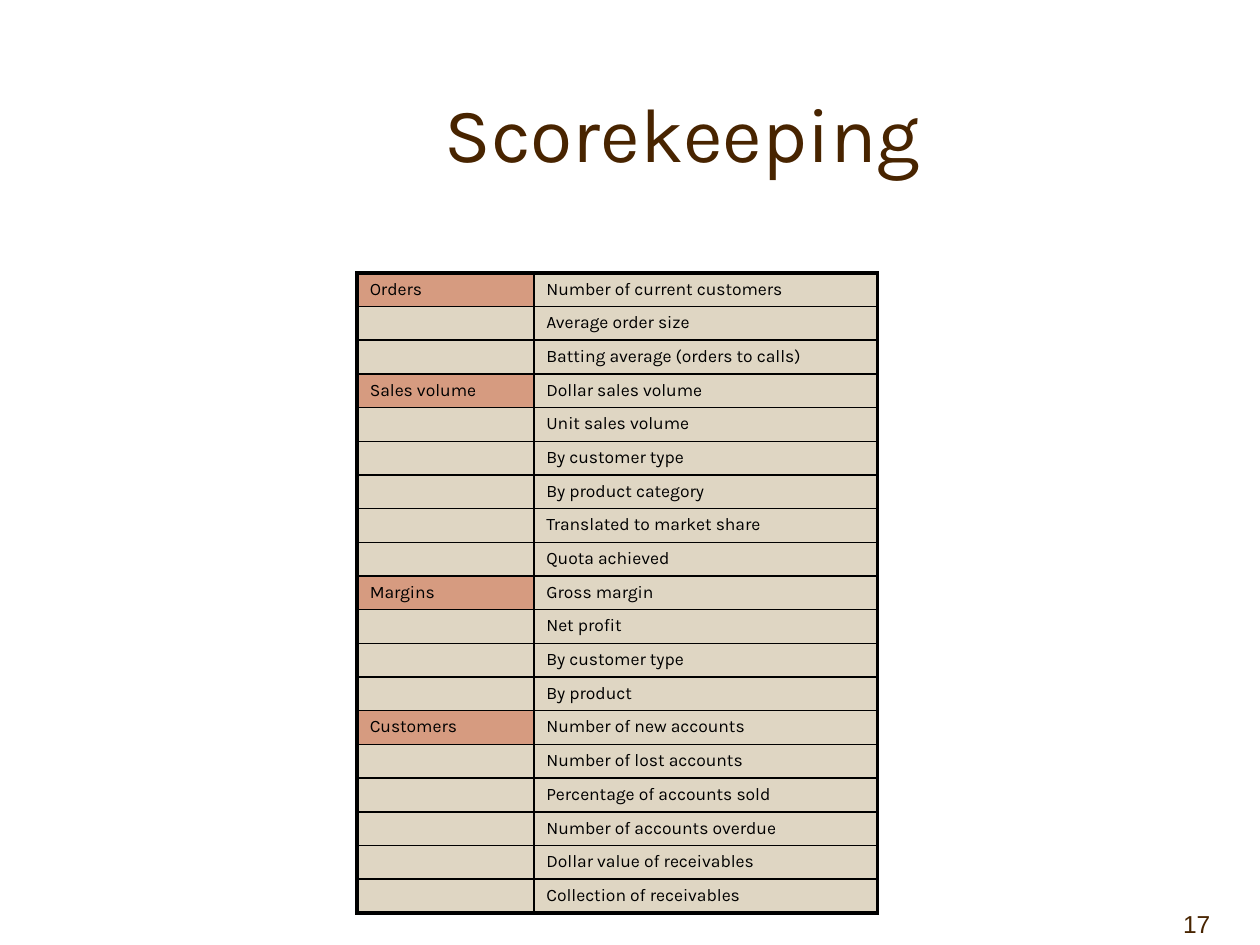
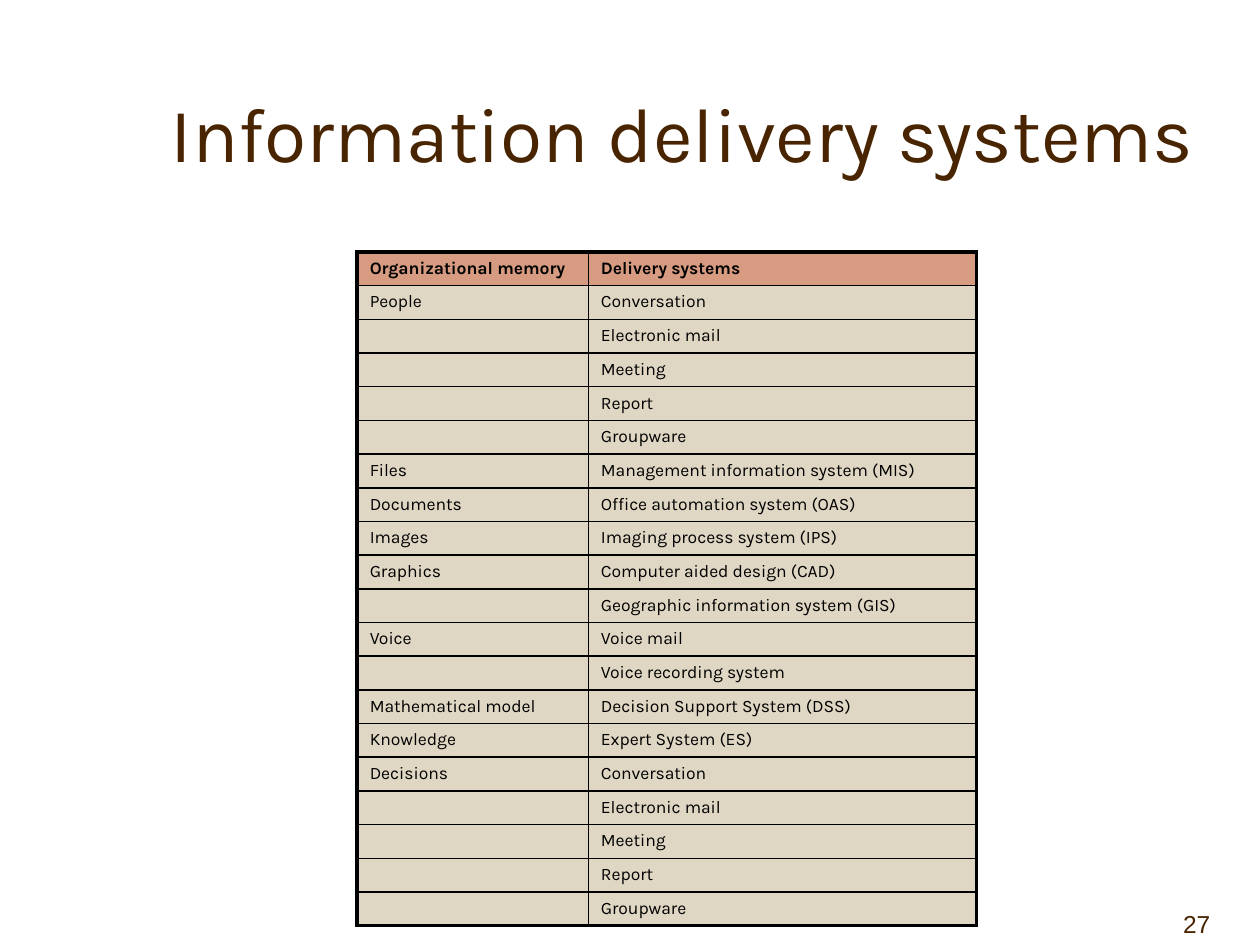
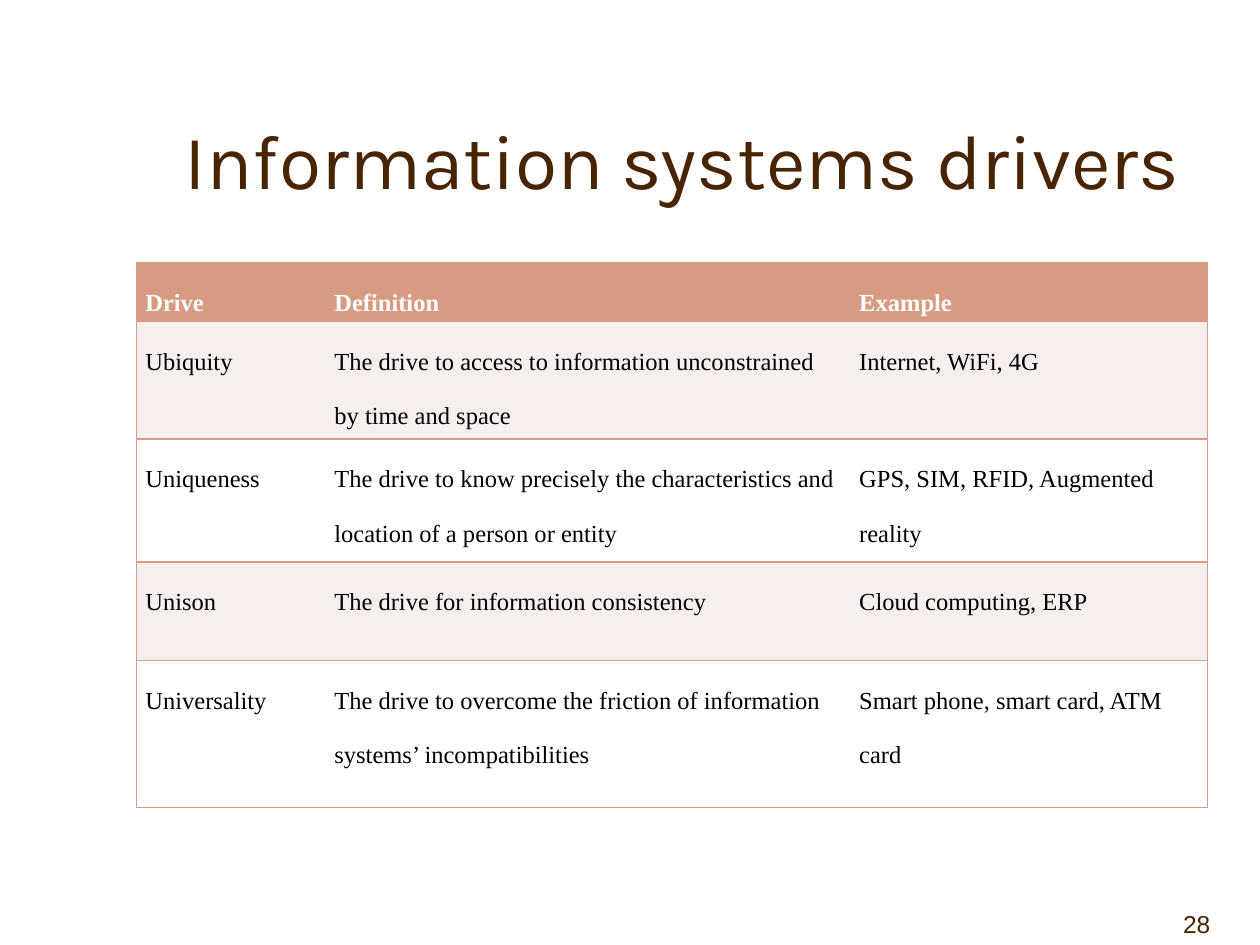
from dataclasses import dataclass

from lxml.etree import SubElement
from pptx import Presentation
from pptx.dml.color import RGBColor
from pptx.enum.text import MSO_ANCHOR, PP_ALIGN
from pptx.oxml.ns import qn
from pptx.util import Cm, Pt


@dataclass(frozen=True)
class Theme:
    brown: str = "482400"
    black: str = "000000"
    white: str = "FFFFFF"
    salmon: str = "D69B80"
    sand: str = "DFD6C3"
    blush: str = "F7EFED"
    heading_font: str = "Karla"
    number_font: str = "Arial"
    drivers_font: str = "Times New Roman"
    title_size: int = 44
    body_size: int = 14
    small_size: int = 10
    thick: float = 2.25
    thin: float = 1


T = Theme()

SCORES = [
    ("Orders", ["Number of current customers", "Average order size",
                "Batting average (orders to calls)"]),
    ("Sales volume", ["Dollar sales volume", "Unit sales volume",
                      "By customer type", "By product category",
                      "Translated to market share", "Quota achieved"]),
    ("Margins", ["Gross margin", "Net profit", "By customer type", "By product"]),
    ("Customers", ["Number of new accounts", "Number of lost accounts",
                   "Percentage of accounts sold", "Number of accounts overdue",
                   "Dollar value of receivables", "Collection of receivables"]),
]

TALK = ["Conversation", "Electronic mail", "Meeting", "Report", "Groupware"]

DELIVERY = [
    ("Organizational memory", ["Delivery systems"]),
    ("People", TALK),
    ("Files", ["Management information system (MIS)"]),
    ("Documents", ["Office automation system (OAS)"]),
    ("Images", ["Imaging process system (IPS)"]),
    ("Graphics", ["Computer aided design (CAD)", "Geographic information system (GIS)"]),
    ("Voice", ["Voice mail", "Voice recording system"]),
    ("Mathematical model", ["Decision Support System (DSS)"]),
    ("Knowledge", ["Expert System (ES)"]),
    ("Decisions", TALK),
]

DRIVERS = [
    ("Drive", "Definition", "Example"),
    ("Ubiquity", "The drive to access to information unconstrained by time and space",
     "Internet, WiFi, 4G"),
    ("Uniqueness", "The drive to know precisely the characteristics and location "
     "of a person or entity", "GPS, SIM, RFID, Augmented reality"),
    ("Unison", "The drive for information consistency", "Cloud computing, ERP"),
    ("Universality", "The drive to overcome the friction of information systems’ "
     "incompatibilities", "Smart phone, smart card, ATM card"),
]


def add_run(p, text, font, size, color, bold=False):
    r = p.add_run()
    r.text = text
    r.font.name = font
    r.font.size = Pt(size)
    r.font.bold = bold
    r.font.color.rgb = RGBColor.from_string(color)


def add_text(s, box, text, align, anchor, font, size):
    sp = s.shapes.add_textbox(*map(Cm, box))
    tf = sp.text_frame
    tf.word_wrap = True
    tf.vertical_anchor = anchor
    p = tf.paragraphs[0]
    p.alignment = align
    add_run(p, text, font, size, T.brown)
    return tf


def add_slide(prs, title, number, anchor=MSO_ANCHOR.MIDDLE):
    s = prs.slides.add_slide(prs.slide_layouts[6])
    add_text(s, (2.97, 1.07, 21.59, 3.18), title, PP_ALIGN.CENTER, anchor,
             T.heading_font, T.title_size)
    tf = add_text(s, (22.86, 17.78, 2.54, 1.27), number, PP_ALIGN.RIGHT,
                  MSO_ANCHOR.BOTTOM, T.number_font, T.body_size)
    tf.margin_right = Cm(1)
    return s


def set_borders(cell, color, widths):
    tcPr = cell._tc.get_or_add_tcPr()
    for side, width in zip("LRTB", widths):
        ln = SubElement(tcPr, qn(f"a:ln{side}"), w=str(Pt(width)))
        if width:
            fill = SubElement(ln, qn("a:solidFill"))
            SubElement(fill, qn("a:srgbClr"), val=color)
        else:
            SubElement(ln, qn("a:noFill"))


def add_grid(s, rows, left, top, widths, heights, line, outer, inner_v, fill_of, write):
    n, m = len(rows), len(widths)
    tbl = s.shapes.add_table(n, m, Cm(left), Cm(top),
                             Cm(sum(widths)), Cm(sum(heights))).table
    tbl.first_row = tbl.horz_banding = False
    for col, width in zip(tbl.columns, widths):
        col.width = Cm(width)
    for i, row in enumerate(rows):
        tbl.rows[i].height = Cm(heights[i])
        for j, text in enumerate(row):
            cell = tbl.cell(i, j)
            set_borders(cell, line, (outer if j == 0 else inner_v,
                                     outer if j == m - 1 else inner_v,
                                     outer if i == 0 else T.thin,
                                     outer if i == n - 1 else T.thin))
            cell.fill.solid()
            cell.fill.fore_color.rgb = RGBColor.from_string(fill_of(i, j, text))
            write(cell, i, text)


def add_group_table(s, groups, top, widths, height, is_head, bold_head):
    rows = [(label if k == 0 else "", item)
            for label, items in groups for k, item in enumerate(items)]

    def write(cell, i, text):
        p = cell.text_frame.paragraphs[0]
        before = SubElement(p._p.get_or_add_pPr(), qn("a:spcBef"))
        SubElement(before, qn("a:spcPct"), val="20000")
        if text:
            add_run(p, text, T.heading_font, T.small_size, T.black, bold_head and i == 0)
        else:
            end = SubElement(p._p, qn("a:endParaRPr"), sz=str(T.small_size * 100))
            SubElement(end, qn("a:latin"), typeface=T.heading_font)

    add_grid(s, rows, 7.2, top, widths, [height / len(rows)] * len(rows),
             T.black, T.thick, T.thin,
             lambda i, j, text: T.salmon if is_head(i, j, text) else T.sand, write)


def add_driver_table(s):
    def write(cell, i, text):
        cell.margin_left = cell.margin_right = Cm(0.18)
        cell.margin_top = cell.margin_bottom = 0
        p = cell.text_frame.paragraphs[0]
        p.line_spacing = 2.0
        add_run(p, text, T.drivers_font, T.body_size,
                T.black if i else T.white, i == 0)

    def fill_of(i, j, text):
        if i == 0:
            return T.salmon
        return T.blush if i % 2 else T.white

    add_grid(s, DRIVERS, 2.75, 5.29, (3.81, 10.58, 7.2), (1.12, 2.24, 2.48, 1.98, 2.97),
             T.salmon, T.thin, 0, fill_of, write)


def main():
    prs = Presentation()
    prs.slide_width, prs.slide_height = Cm(25.4), Cm(19.05)

    s = add_slide(prs, "Scorekeeping", "17")
    add_group_table(s, SCORES, 5.5, (3.56, 6.93), 12.8,
                    lambda i, j, text: j == 0 and text, False)

    s = add_slide(prs, "Information delivery systems", "27")
    add_group_table(s, DELIVERY, 5.08, (4.66, 7.83), 13.34,
                    lambda i, j, text: i == 0, True)

    s = add_slide(prs, "Information systems drivers", "28", MSO_ANCHOR.BOTTOM)
    add_driver_table(s)

    prs.save("out.pptx")


if __name__ == "__main__":
    main()
